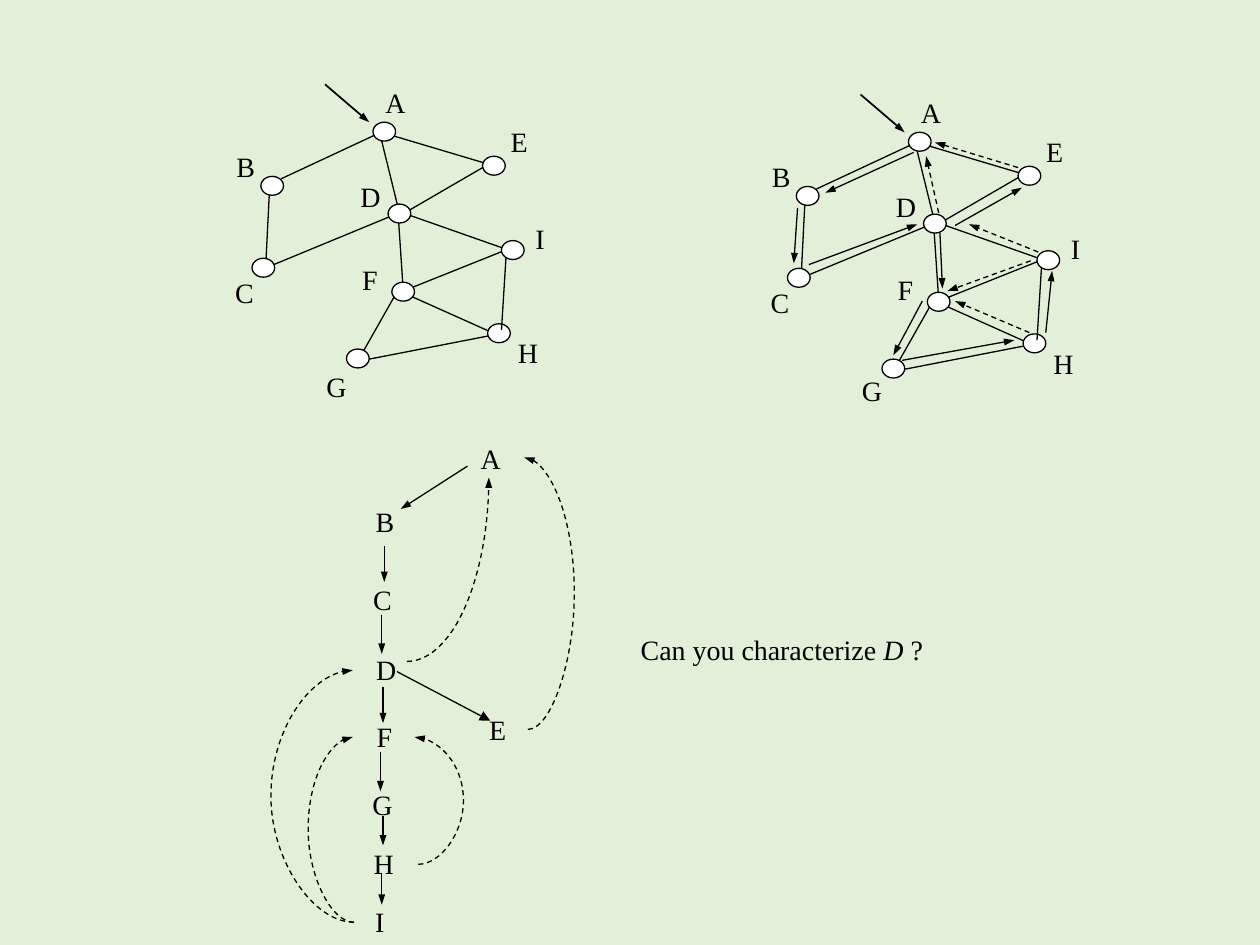
from math import cos, pi, sin

from pptx import Presentation
from pptx.dml.color import RGBColor
from pptx.enum.dml import MSO_LINE
from pptx.enum.shapes import MSO_CONNECTOR as CONN, MSO_SHAPE
from pptx.enum.text import MSO_ANCHOR, PP_ALIGN
from pptx.oxml.ns import qn
from pptx.util import Inches, Pt
from lxml.etree import SubElement

FONT, SIZE = "Times New Roman", 16
BLACK, WHITE, GREEN = "000000", "FFFFFF", "E2F0D9"

# Graph parts, in inches from the corner of the graph's box
NODE_W, NODE_H = 0.18, 0.15
NODES = {"A": (1.29, 0.39), "B": (0.40, 0.82), "C": (0.33, 1.47),
         "D": (1.41, 1.04), "E": (2.16, 0.66), "F": (1.44, 1.66),
         "G": (1.08, 2.19), "H": (2.20, 1.99), "I": (2.31, 1.33)}
GRAPH_LABELS = {"A": (1.19, 0, 0.56), "B": (0.01, 0.51, 0.54),
                "C": (0, 1.51, 0.54), "D": (0.99, 0.75, 0.56),
                "E": (2.19, 0.31, 0.52), "F": (1.01, 1.41, 0.51),
                "G": (0.72, 2.26, 0.56), "H": (2.24, 1.99, 0.56),
                "I": (2.40, 1.08, 0.43)}
EDGES = [(0.56, 0.84, 1.31, 0.49), (0.47, 0.91, 0.44, 1.51),
         (1.34, 0.46, 1.50, 1.11), (1.49, 1.12, 1.53, 1.72),
         (1.49, 1.72, 1.19, 2.25), (1.50, 1.73, 2.26, 2.07),
         (1.16, 2.29, 2.29, 2.07), (1.39, 0.48, 2.23, 0.73),
         (0.43, 1.55, 1.52, 1.10), (1.49, 1.14, 2.23, 0.71)]
LATE_EDGES = [(2.35, 1.40, 2.31, 2.04), (1.53, 1.73, 2.43, 1.37),
              (1.50, 1.10, 2.41, 1.42)]
START_ARROW = (0.91, 0.09, 1.26, 0.39)
VISITS = [(1.33, 0.55, 0.63, 0.87), (0.41, 0.99, 0.38, 1.43),
          (0.50, 1.44, 1.36, 1.12), (1.66, 1.13, 2.19, 0.83),
          (1.54, 1.19, 1.56, 1.63), (1.40, 1.73, 1.17, 2.16),
          (1.24, 2.20, 2.13, 2.04), (2.38, 1.98, 2.43, 1.49)]
RETURNS = [(2.16, 0.67, 1.50, 0.47), (1.53, 1.03, 1.43, 0.58),
           (2.32, 1.34, 1.77, 1.12), (2.26, 1.41, 1.60, 1.65),
           (2.25, 1.98, 1.66, 1.73)]

# Tree parts, in inches from the corner of the tree's box
TREE_LABELS = {"A": (1.63, 0.02, 0.53), "B": (0.80, 0.52, 0.51),
               "C": (0.78, 1.14, 0.51), "D": (0.80, 1.70, 0.53),
               "E": (1.70, 2.17, 0.50), "F": (0.81, 2.23, 0.48),
               "G": (0.77, 2.77, 0.53), "H": (0.78, 3.24, 0.53),
               "I": (0.81, 3.70, 0.41)}
TREE_ARROWS = [(1.71, 0.30, 1.18, 0.64), (1.05, 0.93, 1.05, 1.22),
               (1.03, 1.48, 1.03, 1.79), (1.04, 2.05, 1.04, 2.34),
               (1.02, 2.57, 1.02, 2.88), (1.04, 3.08, 1.04, 3.31),
               (1.03, 3.53, 1.03, 3.78)]
BRANCH_ARROW = (1.15, 1.93, 1.89, 2.32)
# Back edges: both ends, then the x of the bulge
BACK_CURVES = [((2.19, 2.39, 2.16, 0.23), 2.56), ((1.32, 3.46, 1.29, 2.45), 1.68),
               ((0.81, 3.92, 0.80, 2.45), 0.44), ((0.81, 3.92, 0.80, 1.92), 0.14)]


def rgb(value):
    return RGBColor.from_string(value)


def style_line(line, width=0.75, dash=False, head=None):
    """Black line; head is the width of the arrowhead, sm or med."""
    line.color.rgb = rgb(BLACK)
    line.width = Pt(width)
    if dash:
        line.dash_style = MSO_LINE.DASH
    if head:
        ln = line._get_or_add_ln()
        SubElement(ln, qn("a:tailEnd"), type="triangle", w=head, len="med")


def add_line(shapes, box, ends, kind=CONN.STRAIGHT, **style):
    x, y = box
    x1, y1, x2, y2 = ends
    s = shapes.add_connector(kind, Inches(x + x1), Inches(y + y1),
                             Inches(x + x2), Inches(y + y2))
    style_line(s.line, **style)
    SubElement(s._element.spPr, qn("a:effectLst"))
    return s


def add_curve(shapes, box, ends, bulge):
    s = add_line(shapes, box, ends, CONN.CURVE, dash=True, head="sm")
    adj = round((bulge - ends[0]) / (ends[2] - ends[0]) * 100000)
    av = s._element.spPr.find(qn("a:prstGeom")).get_or_add_avLst()
    SubElement(av, qn("a:gd"), name="adj1", fmla=f"val {adj}")


def add_text(shapes, left, top, width, height, parts):
    """One centred line; parts are (text, italic) pairs."""
    s = shapes.add_textbox(Inches(left), Inches(top), Inches(width), Inches(height))
    tf = s.text_frame
    tf.word_wrap = False
    tf.vertical_anchor = MSO_ANCHOR.MIDDLE
    p = tf.paragraphs[0]
    p.alignment = PP_ALIGN.CENTER
    for text, italic in parts:
        r = p.add_run()
        r.text = text
        r.font.name, r.font.size, r.font.italic = FONT, Pt(SIZE), italic
        r.font.color.rgb = rgb(BLACK)


def add_labels(shapes, box, labels, height):
    for name, (x, y, width) in labels.items():
        add_text(shapes, box[0] + x, box[1] + y, width, height, [(name, False)])


def add_nodes(shapes, box, names):
    for name in names:
        x, y = NODES[name]
        s = shapes.add_shape(MSO_SHAPE.OVAL, Inches(box[0] + x), Inches(box[1] + y),
                             Inches(NODE_W), Inches(NODE_H))
        s.shadow.inherit = False
        s.fill.solid()
        s.fill.fore_color.rgb = rgb(WHITE)
        style_line(s.line)


def add_graph(slide, box, traversed=False):
    shapes = slide.shapes.add_group_shape().shapes
    # Edges and nodes; the late edges run over the first nodes
    for edges, names in ((EDGES, "GAEBCH"), (LATE_EDGES, "DIF")):
        for ends in edges:
            add_line(shapes, box, ends)
        add_nodes(shapes, box, names)
    add_line(shapes, box, START_ARROW, width=1, head="sm")
    # Depth-first walk beside the edges
    if traversed:
        for arrows, dash in ((VISITS, False), (RETURNS, True)):
            for ends in arrows:
                add_line(shapes, box, ends, dash=dash, head="sm")
    labels = dict(GRAPH_LABELS)
    if traversed:
        labels["G"] = (0.72, 2.21, 0.56)
    add_labels(shapes, box, labels, 0.46)


def add_quarter_arc(shapes, box, start, end, steps=24):
    """Dashed quarter ellipse, leaving start sideways and reaching end upwards."""
    rx, ry = end[0] - start[0], start[1] - end[1]
    angles = [pi / 2 * i / steps for i in range(steps + 1)]
    points = [(Inches(box[0] + start[0] + rx * sin(a)),
               Inches(box[1] + end[1] + ry * cos(a))) for a in angles]
    fb = shapes.build_freeform(*points[0])
    fb.add_line_segments(points[1:], close=False)
    s = fb.convert_to_shape()
    s.shadow.inherit = False
    s.fill.background()
    style_line(s.line, dash=True, head="sm")


def add_tree(slide, box):
    shapes = slide.shapes.add_group_shape().shapes
    add_labels(shapes, box, TREE_LABELS, 0.43)
    # Tree edges
    for ends in TREE_ARROWS:
        add_line(shapes, box, ends, head="sm")
    add_line(shapes, box, BRANCH_ARROW, head="med")
    # Back edges
    add_quarter_arc(shapes, box, (1.23, 1.85), (1.88, 0.39))
    for ends, bulge in BACK_CURVES:
        add_curve(shapes, box, ends, bulge)


def main():
    prs = Presentation()
    prs.slide_width, prs.slide_height = Inches(10), Inches(7.5)
    slide = prs.slides.add_slide(prs.slide_layouts[6])
    slide.background.fill.solid()
    slide.background.fill.fore_color.rgb = rgb(GREEN)
    add_graph(slide, (5.92, 0.66), traversed=True)
    add_text(slide.shapes, 4.98, 4.97, 2.45, 0.37,
             [("Can you characterize ", False), ("D", True), (" ?", False)])
    add_graph(slide, (1.67, 0.58))
    add_tree(slide, (2, 3.4))
    prs.save("out.pptx")


if __name__ == "__main__":
    main()
